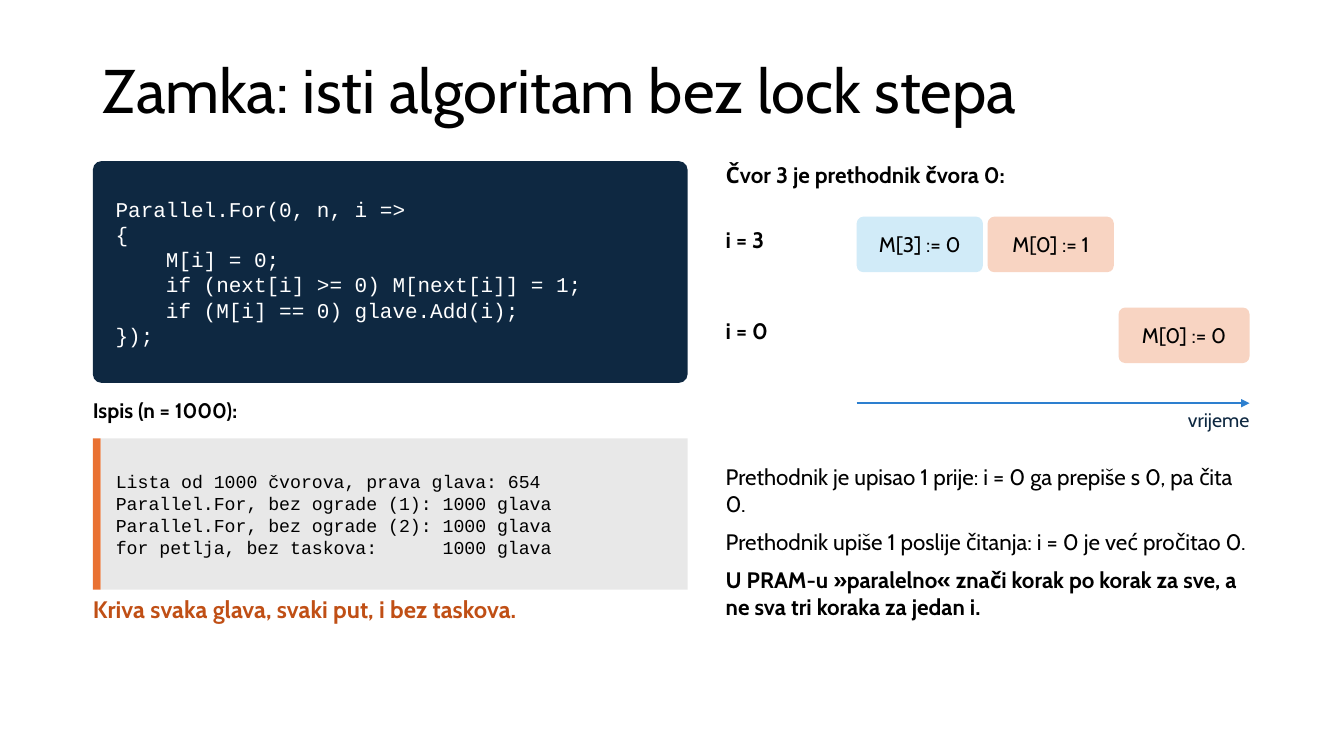
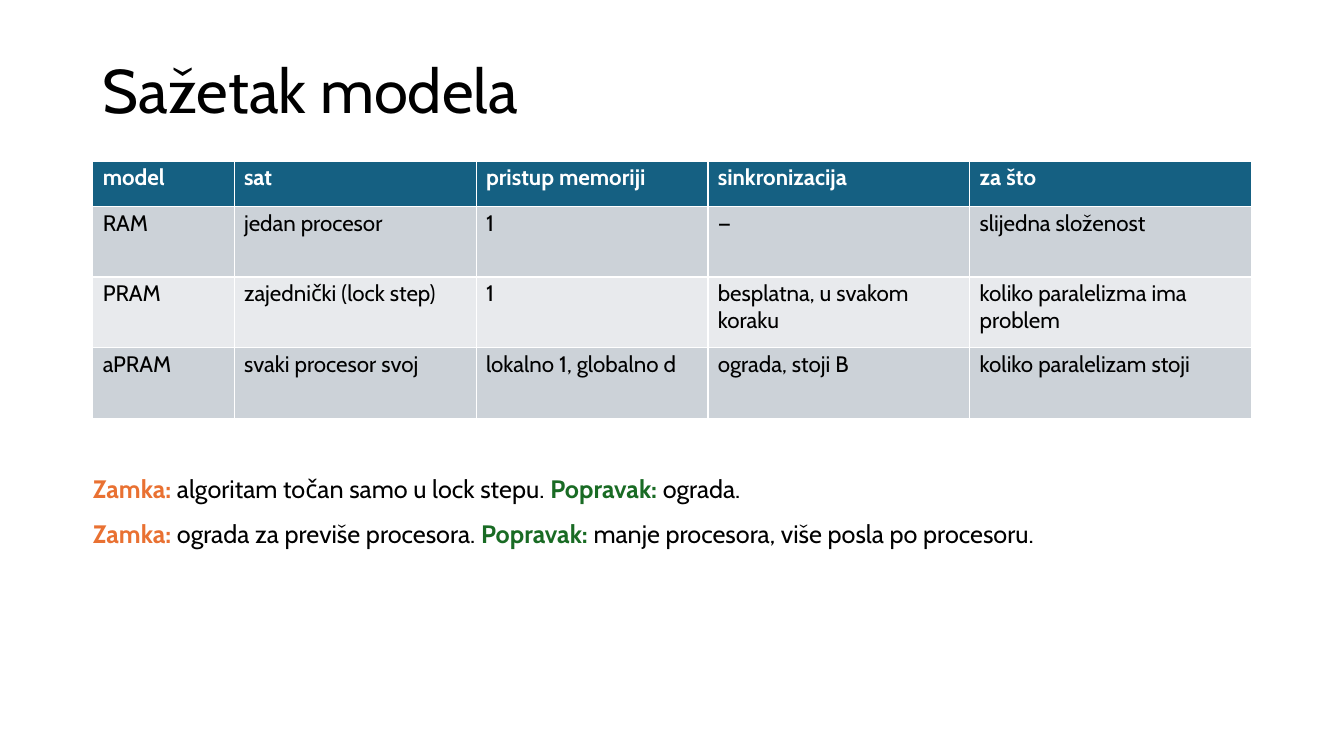
from dataclasses import dataclass

from lxml.etree import SubElement
from pptx import Presentation
from pptx.dml.color import RGBColor
from pptx.enum.shapes import MSO_CONNECTOR, MSO_SHAPE
from pptx.enum.text import MSO_ANCHOR, MSO_AUTO_SIZE, PP_ALIGN
from pptx.oxml.ns import qn
from pptx.util import Cm, Pt


@dataclass(frozen=True)
class Theme:
    font: str = "Cabin"
    code_font: str = "Courier New"
    black: str = "000000"
    white: str = "FFFFFF"
    navy: str = "0E2841"
    orange: str = "E97132"
    dark_orange: str = "C04F15"
    green: str = "196B24"
    arrow_blue: str = "2D7FCF"
    pale_blue: str = "D1EBF8"
    pale_orange: str = "F8D4C2"
    output_gray: str = "E8E8E8"
    header_fill: str = "156082"
    band_fills: tuple = ("CCD2D8", "E8EAED")
    title_size: int = 44
    closing_size: int = 18
    conclusion_size: int = 17
    body_size: int = 16
    label_size: int = 15
    axis_size: int = 14
    output_size: int = 13


THEME = Theme()

# Shared page grid, in centimetres
LEFT, WIDTH = 2.34, 29.21
RIGHT = LEFT + WIDTH
CONTENT_TOP = 4.06
CODE_WIDTH = 14.99
RIGHT_COLUMN = 18.29
RIGHT_WIDTH = 13.21


def set_font(paragraph, size, color=THEME.black, bold=False, name=THEME.font):
    font = paragraph.font
    font.name, font.size, font.bold = name, Pt(size), bold
    font.color.rgb = RGBColor.from_string(color)


def set_margins(target, left, top, right, bottom):
    target.margin_left, target.margin_top = Cm(left), Cm(top)
    target.margin_right, target.margin_bottom = Cm(right), Cm(bottom)


def add_titled_slide(presentation, text):
    slide = presentation.slides.add_slide(presentation.slide_layouts[5])
    title = slide.shapes.title
    title.left, title.top = Cm(LEFT), Cm(1.02)
    title.width, title.height = Cm(WIDTH), Cm(2.69)
    frame = title.text_frame
    frame.text = text
    frame.word_wrap = True
    frame.auto_size = MSO_AUTO_SIZE.NONE
    frame.vertical_anchor = MSO_ANCHOR.MIDDLE
    paragraph = frame.paragraphs[0]
    paragraph.alignment = PP_ALIGN.LEFT
    paragraph.line_spacing = 0.9
    set_font(paragraph, THEME.title_size)
    return slide


def add_text_box(slide, left, top, width, height):
    """Add an empty wrapping text box without margins and return its frame."""
    box = slide.shapes.add_textbox(Cm(left), Cm(top), Cm(width), Cm(height))
    frame = box.text_frame
    frame.word_wrap = True
    frame.auto_size = MSO_AUTO_SIZE.SHAPE_TO_FIT_TEXT
    set_margins(frame, 0, 0, 0, 0)
    return frame


def add_label(slide, text, left, top, width, height=1.02, size=THEME.body_size,
              color=THEME.black, bold=True, alignment=PP_ALIGN.LEFT):
    paragraph = add_text_box(slide, left, top, width, height).paragraphs[0]
    paragraph.text = text
    paragraph.alignment = alignment
    set_font(paragraph, size, color, bold)


def add_panel(slide, left, top, width, height, fill, radius=0):
    """Add a flat filled rectangle; a radius rounds its corners."""
    kind = MSO_SHAPE.ROUNDED_RECTANGLE if radius else MSO_SHAPE.RECTANGLE
    shape = slide.shapes.add_shape(kind, Cm(left), Cm(top), Cm(width), Cm(height))
    if radius:
        shape.adjustments[0] = radius
    shape.shadow.inherit = False
    shape.fill.solid()
    shape.fill.fore_color.rgb = RGBColor.from_string(fill)
    shape.line.fill.background()
    return shape


def fill_code(shape, code, size, color, left_margin):
    frame = shape.text_frame
    frame.word_wrap = True
    frame.vertical_anchor = MSO_ANCHOR.MIDDLE
    set_margins(frame, left_margin, 0.13, 0.25, 0.13)
    frame.text = code
    for paragraph in frame.paragraphs:
        paragraph.alignment = PP_ALIGN.LEFT
        set_font(paragraph, size, color, name=THEME.code_font)


def add_step(slide, text, left, top, width, fill):
    frame = add_panel(slide, left, top, width, 1.4, fill, 0.12).text_frame
    frame.word_wrap = True
    frame.vertical_anchor = MSO_ANCHOR.MIDDLE
    set_margins(frame, 0.13, 0.05, 0.13, 0.05)
    frame.text = text
    frame.paragraphs[0].alignment = PP_ALIGN.CENTER
    set_font(frame.paragraphs[0], THEME.label_size)


def add_arrow(slide, left, right, y):
    arrow = slide.shapes.add_connector(
        MSO_CONNECTOR.STRAIGHT, Cm(left), Cm(y), Cm(right), Cm(y))
    arrow.line.color.rgb = RGBColor.from_string(THEME.arrow_blue)
    arrow.line.width = Pt(1.5)
    SubElement(arrow.line._get_or_add_ln(), qn("a:tailEnd"), type="triangle")
    SubElement(arrow._element.spPr, qn("a:effectLst"))


def add_rich_text(frame, paragraphs, size, space_after):
    """Write paragraphs, each a list of (text, color, bold) runs."""
    for index, runs in enumerate(paragraphs):
        paragraph = frame.add_paragraph() if index else frame.paragraphs[0]
        paragraph.space_after = Pt(space_after)
        set_font(paragraph, size)
        for text, color, bold in runs:
            run = paragraph.add_run()
            run.text = text
            run.font.bold = bold
            run.font.color.rgb = RGBColor.from_string(color)


def add_table(slide, rows, column_widths, row_heights):
    table = slide.shapes.add_table(
        len(rows), len(column_widths), Cm(LEFT), Cm(CONTENT_TOP),
        Cm(sum(column_widths)), Cm(sum(row_heights))).table
    for column, width in zip(table.columns, column_widths):
        column.width = Cm(width)
    for index, (row, height, texts) in enumerate(zip(table.rows, row_heights, rows)):
        row.height = Cm(height)
        header = index == 0
        fill = THEME.header_fill if header else THEME.band_fills[(index - 1) % 2]
        for cell, text in zip(row.cells, texts):
            cell.text = text
            set_margins(cell, 0.25, 0.08, 0.25, 0.08)
            cell.fill.solid()
            cell.fill.fore_color.rgb = RGBColor.from_string(fill)
            color = THEME.white if header else THEME.black
            set_font(cell.text_frame.paragraphs[0], THEME.body_size, color, header)


def add_timeline(slide):
    """Show when each iteration writes to M, one lane per iteration."""
    start, pitch, step_width = 21.59, 3.3, 3.18
    first_lane, lane_pitch = 5.46, 2.29
    second_lane = first_lane + lane_pitch
    last_step = start + 2 * pitch
    axis_end = start + 3 * pitch

    add_label(slide, "Čvor 3 je prethodnik čvora 0:",
              RIGHT_COLUMN, CONTENT_TOP, RIGHT_WIDTH)
    for text, lane in (("i = 3", first_lane), ("i = 0", second_lane)):
        add_label(slide, text, RIGHT_COLUMN, lane + 0.25, 3.56)
    add_step(slide, "M[3] := 0", start, first_lane, step_width, THEME.pale_blue)
    add_step(slide, "M[0] := 1", start + pitch, first_lane, step_width, THEME.pale_orange)
    add_step(slide, "M[0] := 0", last_step, second_lane, pitch, THEME.pale_orange)
    add_arrow(slide, start, axis_end, 10.16)
    add_label(slide, "vrijeme", last_step, 10.29, pitch, size=THEME.axis_size,
              color=THEME.navy, bold=False, alignment=PP_ALIGN.RIGHT)


def build_trap_slide(presentation):
    slide = add_titled_slide(presentation, "Zamka: isti algoritam bez lock stepa")
    code = add_panel(slide, LEFT, CONTENT_TOP, CODE_WIDTH, 5.59, THEME.navy, 0.04)
    fill_code(code, """Parallel.For(0, n, i =>
{
    M[i] = 0;
    if (next[i] >= 0) M[next[i]] = 1;
    if (M[i] == 0) glave.Add(i);
});""", THEME.label_size, THEME.white, 0.51)

    add_label(slide, "Ispis (n = 1000):", LEFT, 10.03, CODE_WIDTH,
              size=THEME.label_size)
    output_top, output_height, bar_width = 11.05, 3.81, 0.2
    add_panel(slide, LEFT, output_top, bar_width, output_height, THEME.orange)
    output = add_panel(slide, LEFT + bar_width, output_top, CODE_WIDTH - bar_width,
                       output_height, THEME.output_gray)
    fill_code(output, """Lista od 1000 čvorova, prava glava: 654
Parallel.For, bez ograde (1): 1000 glava
Parallel.For, bez ograde (2): 1000 glava
for petlja, bez taskova:      1000 glava""", THEME.output_size, THEME.black, 0.38)
    add_label(slide, "Kriva svaka glava, svaki put, i bez taskova.", LEFT, 14.99,
              CODE_WIDTH, 2.29, THEME.conclusion_size, THEME.dark_orange)

    add_timeline(slide)
    explanation = add_text_box(slide, RIGHT_COLUMN, 11.68, RIGHT_WIDTH, 5.59)
    add_rich_text(explanation, [
        [("Prethodnik je upisao 1 prije: i = 0 ga prepiše s 0, pa čita 0.",
          THEME.black, False)],
        [("Prethodnik upiše 1 poslije čitanja: i = 0 je već pročitao 0.",
          THEME.black, False)],
        [("U PRAM-u »paralelno« znači korak po korak za sve, "
          "a ne sva tri koraka za jedan i.", THEME.black, True)],
    ], THEME.body_size, 8)


def build_summary_slide(presentation):
    slide = add_titled_slide(presentation, "Sažetak modela")
    add_table(slide, [
        ("model", "sat", "pristup memoriji", "sinkronizacija", "za što"),
        ("RAM", "jedan procesor", "1", "—", "slijedna složenost"),
        ("PRAM", "zajednički (lock step)", "1", "besplatna, u svakom koraku",
         "koliko paralelizma ima problem"),
        ("aPRAM", "svaki procesor svoj", "lokalno 1, globalno d",
         "ograda, stoji B", "koliko paralelizam stoji"),
    ], (3.56, 6.1, 5.84, 6.6, 7.11), (1.14, 1.78, 1.78, 1.78))

    traps = [
        ("algoritam točan samo u lock stepu. ", "ograda."),
        ("ograda za previše procesora. ", "manje procesora, više posla po procesoru."),
    ]
    closing = add_text_box(slide, LEFT, 11.94, WIDTH, 5.08)
    add_rich_text(closing, [
        [("Zamka: ", THEME.orange, True), (trap, THEME.black, False),
         ("Popravak: ", THEME.green, True), (remedy, THEME.black, False)]
        for trap, remedy in traps
    ], THEME.closing_size, 10)


def main():
    presentation = Presentation()
    presentation.slide_width, presentation.slide_height = Cm(33.87), Cm(19.05)
    build_trap_slide(presentation)
    build_summary_slide(presentation)
    presentation.save("out.pptx")


if __name__ == "__main__":
    main()
